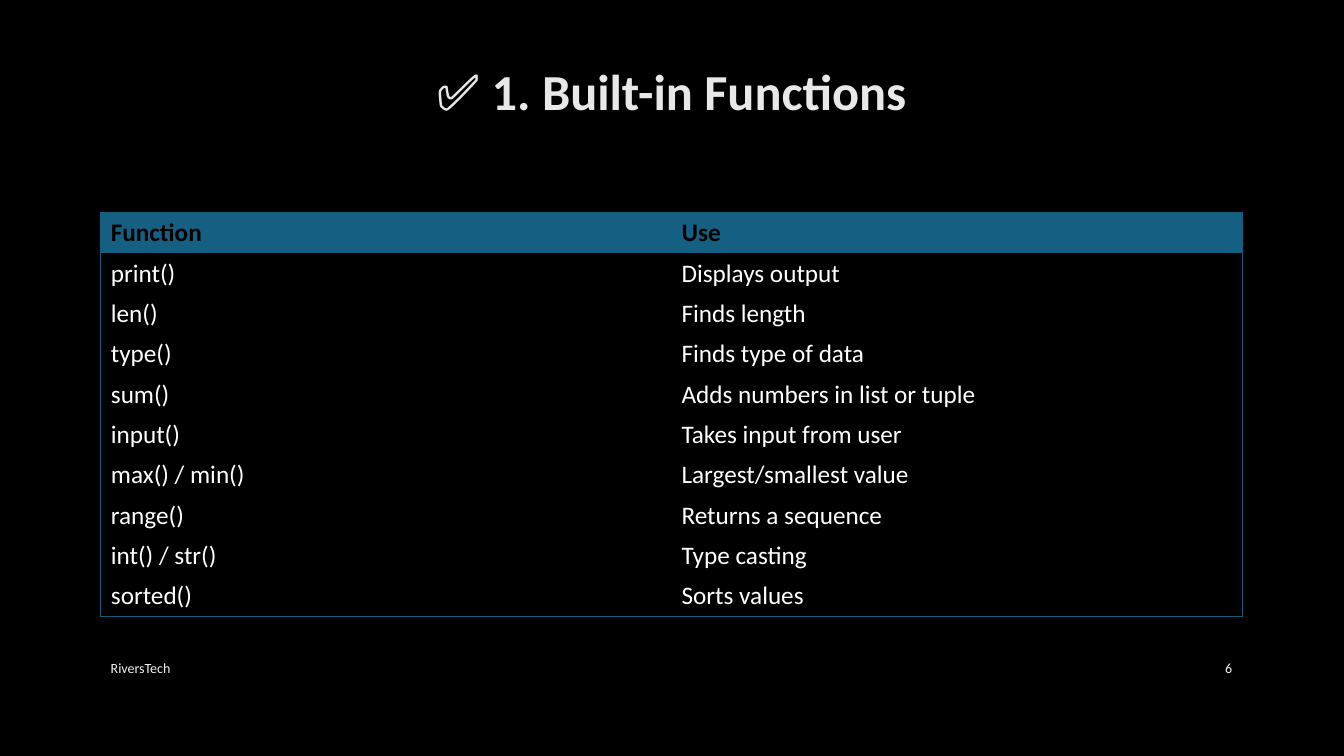
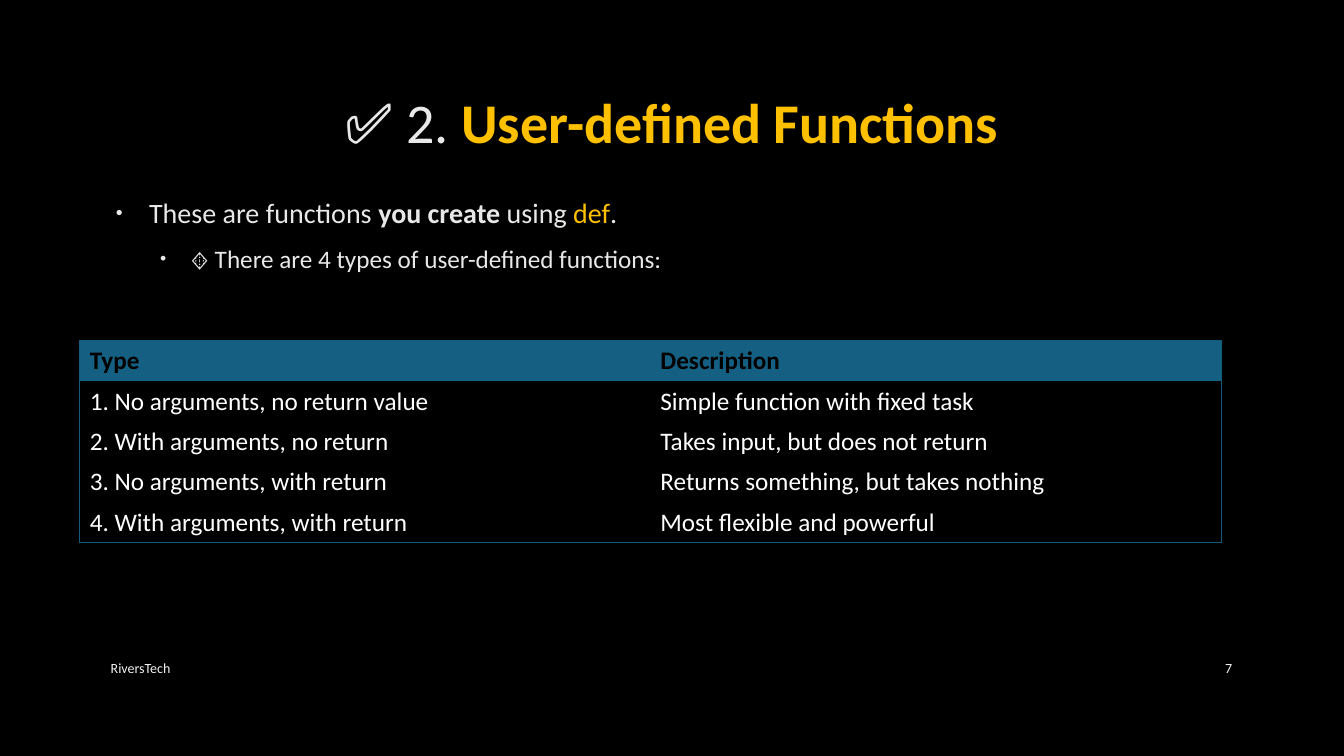
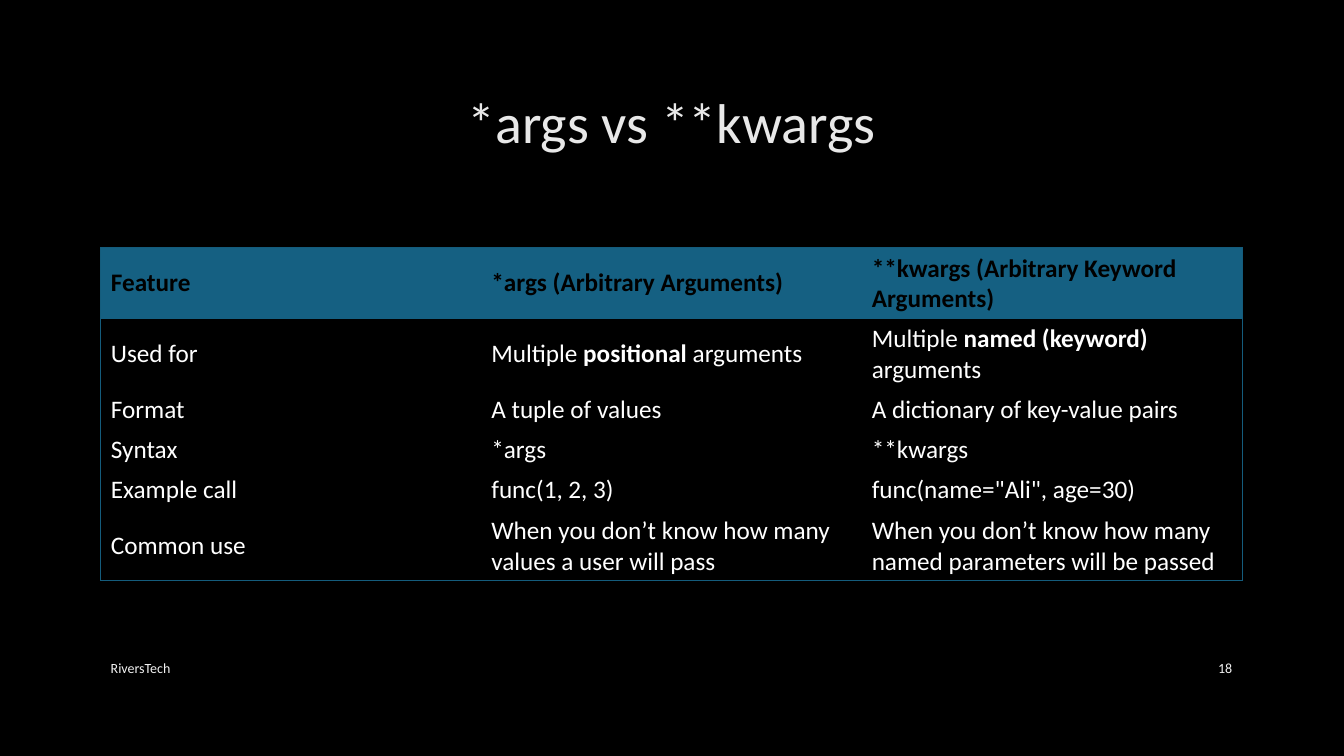
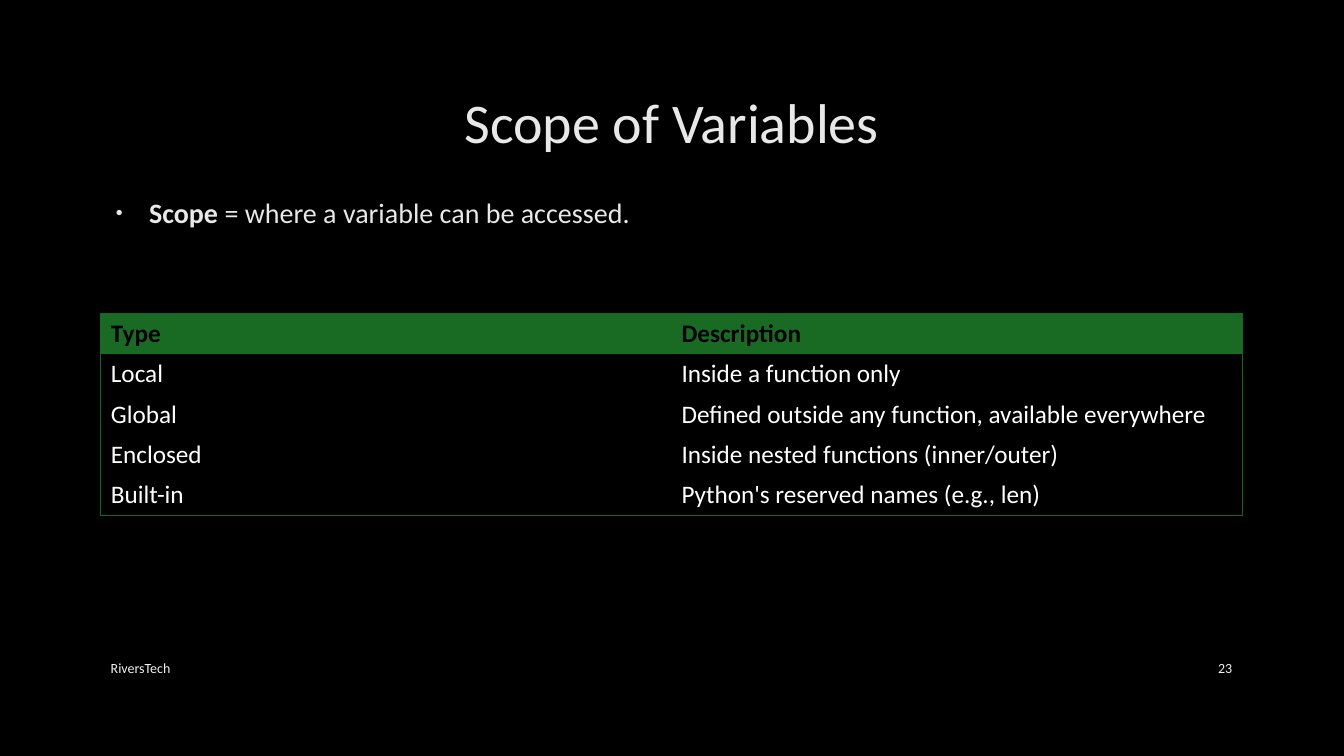
"""Builds four dark slides about Python functions, each with a table."""
import pptx
import pptx.dml.color
import pptx.enum.text
import pptx.oxml
import pptx.oxml.ns
import pptx.util

Inches, Pt = pptx.util.Inches, pptx.util.Pt
ALIGN = pptx.enum.text.PP_ALIGN
ANCHOR = pptx.enum.text.MSO_ANCHOR

FONT = "Calibri"
BLACK, WHITE, LIGHT, FOOT, GOLD = "000000", "FFFFFF", "E8E8E8", "F2F2F2", "FFC000"
BLUE = {"fill": "156082", "border": "145C7C"}
GREEN = {"fill": "196B24", "border": "186622"}
OUTLINE = "404040"
NO_STYLE = "{2D5ABB26-0587-4C30-8999-92F81FD0307C}"

LEFT, WIDTH = 1, 11.32
ROW, TALL_ROW = 0.4, 0.7
FOOTER = "RiversTech"
BULLETS = [
    {"size": 20, "margin": 0.38, "indent": -0.33},
    {"size": 18, "margin": 0.79, "indent": -0.3},
]
BOLD = {"bold": True}

SLIDES = [
    {
        "number": 6,
        "title": [("✅ 1. Built-in Functions", BOLD)],
        "title_top": 0.37,
        "title_size": 36,
        "theme": BLUE,
        "table_at": (LEFT, 2.11),
        "table": [
            ("Function", "Use"),
            ("print()", "Displays output"),
            ("len()", "Finds length"),
            ("type()", "Finds type of data"),
            ("sum()", "Adds numbers in list or tuple"),
            ("input()", "Takes input from user"),
            ("max() / min()", "Largest/smallest value"),
            ("range()", "Returns a sequence"),
            ("int() / str()", "Type casting"),
            ("sorted()", "Sorts values"),
        ],
    },
    {
        "number": 7,
        "title": [("✅ 2. ", {}), ("User-defined Functions", {"bold": True, "color": GOLD})],
        "body": [
            [("These are functions ", {}), ("you create", BOLD), (" using ", {}),
             ("def", {"color": GOLD}), (".", {})],
            "🔸 There are 4 types of user-defined functions:",
        ],
        "theme": BLUE,
        "table_at": (0.79, 3.38),
        "table": [
            ("Type", "Description"),
            ("1. No arguments, no return value", "Simple function with fixed task"),
            ("2. With arguments, no return", "Takes input, but does not return"),
            ("3. No arguments, with return", "Returns something, but takes nothing"),
            ("4. With arguments, with return", "Most flexible and powerful"),
        ],
    },
    {
        "number": 18,
        "title": "*args vs **kwargs",
        "theme": BLUE,
        "table_at": (LEFT, 2.46),
        "tall_rows": (0, 1, 5),
        "table": [
            ("Feature", "*args (Arbitrary Arguments)", "**kwargs (Arbitrary Keyword Arguments)"),
            ("Used for",
             [("Multiple ", {}), ("positional", BOLD), (" arguments", {})],
             [("Multiple ", {}), ("named (keyword)", BOLD), (" arguments", {})]),
            ("Format", "A tuple of values", "A dictionary of key-value pairs"),
            ("Syntax", "*args", "**kwargs"),
            ("Example call", "func(1, 2, 3)", 'func(name="Ali", age=30)'),
            ("Common use", "When you don’t know how many values a user will pass",
             "When you don’t know how many named parameters will be passed"),
        ],
    },
    {
        "number": 23,
        "title": "Scope of Variables",
        "body": [[("Scope", BOLD), (" = where a variable can be accessed.", {})]],
        "theme": GREEN,
        "table_at": (LEFT, 3.11),
        "table": [
            ("Type", "Description"),
            ("Local", "Inside a function only"),
            ("Global", "Defined outside any function, available everywhere"),
            ("Enclosed", "Inside nested functions (inner/outer)"),
            ("Built-in", "Python's reserved names (e.g., len)"),
        ],
    },
]


def rgb(value):
    return pptx.dml.color.RGBColor.from_string(value)


def xml(markup):
    tag, rest = markup.split(" ", 1)
    return pptx.oxml.parse_xml(f"{tag} {pptx.oxml.ns.nsdecls('a')} {rest}")


def write(p, text, size=18, color=WHITE, bold=False, align=None, outline=False):
    if align is not None:
        p.alignment = align
    runs = [(text, {})] if isinstance(text, str) else text
    for part, extra in runs:
        r = p.add_run()
        r.text = part
        r.font.name = FONT
        r.font.size = Pt(size)
        r.font.bold = extra.get("bold", bold)
        r.font.color.rgb = rgb(extra.get("color", color))
        if outline:
            r.font._element.insert(0, xml(
                f'<a:ln w="{Pt(0.75)}"><a:solidFill><a:srgbClr val="{OUTLINE}">'
                '<a:alpha val="10000"/></a:srgbClr></a:solidFill></a:ln>'))


def add_box(s, left, top, width, height, anchor=ANCHOR.MIDDLE):
    tf = s.shapes.add_textbox(*map(Inches, (left, top, width, height))).text_frame
    tf.word_wrap = True
    tf.vertical_anchor = anchor
    return tf


def add_body(s, items):
    tf = add_box(s, LEFT, 1.89, WIDTH, 4.44, ANCHOR.TOP)
    for level, (item, style) in enumerate(zip(items, BULLETS)):
        p = tf.add_paragraph() if level else tf.paragraphs[0]
        p.level = level
        pPr = p._p.get_or_add_pPr()
        pPr.set("marL", str(Inches(style["margin"])))
        pPr.set("indent", str(Inches(style["indent"])))
        for markup in (f'<a:buClr ><a:srgbClr val="{LIGHT}"/></a:buClr>',
                       '<a:buSzPct val="70000"/>',
                       '<a:buFont typeface="Arial"/>',
                       '<a:buChar char="•"/>'):
            pPr.append(xml(markup))
        if level:
            p.space_before = Pt(4)
        p.space_after = Pt(6)
        write(p, item, size=style["size"], color=LIGHT, outline=True)


def add_borders(cell, sides, color):
    tcPr = cell._tc.get_or_add_tcPr()
    for side, shown in sides.items():
        if shown:
            tcPr.append(xml(
                f'<a:ln{side} w="{Pt(0.75)}"><a:solidFill><a:srgbClr val="{color}"/>'
                f'</a:solidFill></a:ln{side}>'))


def add_table(s, rows, at, theme, tall_rows=()):
    heights = [TALL_ROW if i in tall_rows else ROW for i in range(len(rows))]
    n_cols = len(rows[0])
    box = map(Inches, (*at, WIDTH, sum(heights)))
    table = s.shapes.add_table(len(rows), n_cols, *box).table
    table.horz_banding = False
    table._tbl.tblPr.find(pptx.oxml.ns.qn("a:tableStyleId")).text = NO_STYLE
    for col in table.columns:
        col.width = Inches(WIDTH / n_cols)
    for i, row in enumerate(rows):
        table.rows[i].height = Inches(heights[i])
        for j, text in enumerate(row):
            cell = table.cell(i, j)
            cell.vertical_anchor = ANCHOR.MIDDLE
            add_borders(cell, {"L": j == 0, "R": j == n_cols - 1,
                               "T": i == 0, "B": i == len(rows) - 1}, theme["border"])
            if i == 0:
                cell.fill.solid()
                cell.fill.fore_color.rgb = rgb(theme["fill"])
            else:
                cell.fill.background()
            write(cell.text_frame.paragraphs[0], text,
                  color=WHITE if i else BLACK, bold=i == 0)


def add_slide(prs, data):
    s = prs.slides.add_slide(prs.slide_layouts[6])
    s.background.fill.solid()
    s.background.fill.fore_color.rgb = rgb(BLACK)
    title = add_box(s, LEFT, data.get("title_top", 0.67), WIDTH, 1.06)
    write(title.paragraphs[0], data["title"], size=data.get("title_size", 40),
          color=LIGHT, align=ALIGN.CENTER, outline=True)
    if "body" in data:
        add_body(s, data["body"])
    add_table(s, data["table"], data["table_at"], data["theme"], data.get("tall_rows", ()))
    for text, left, width, align in ((FOOTER, LEFT, 7.3, ALIGN.LEFT),
                                     (str(data["number"]), 11.5, 0.82, ALIGN.RIGHT)):
        tf = add_box(s, left, 6.43, width, 0.4)
        write(tf.paragraphs[0], text, size=10, color=FOOT, align=align)


def main():
    prs = pptx.Presentation()
    prs.slide_width, prs.slide_height = Inches(13.33), Inches(7.5)
    for data in SLIDES:
        add_slide(prs, data)
    prs.save("out.pptx")


if __name__ == "__main__":
    main()
